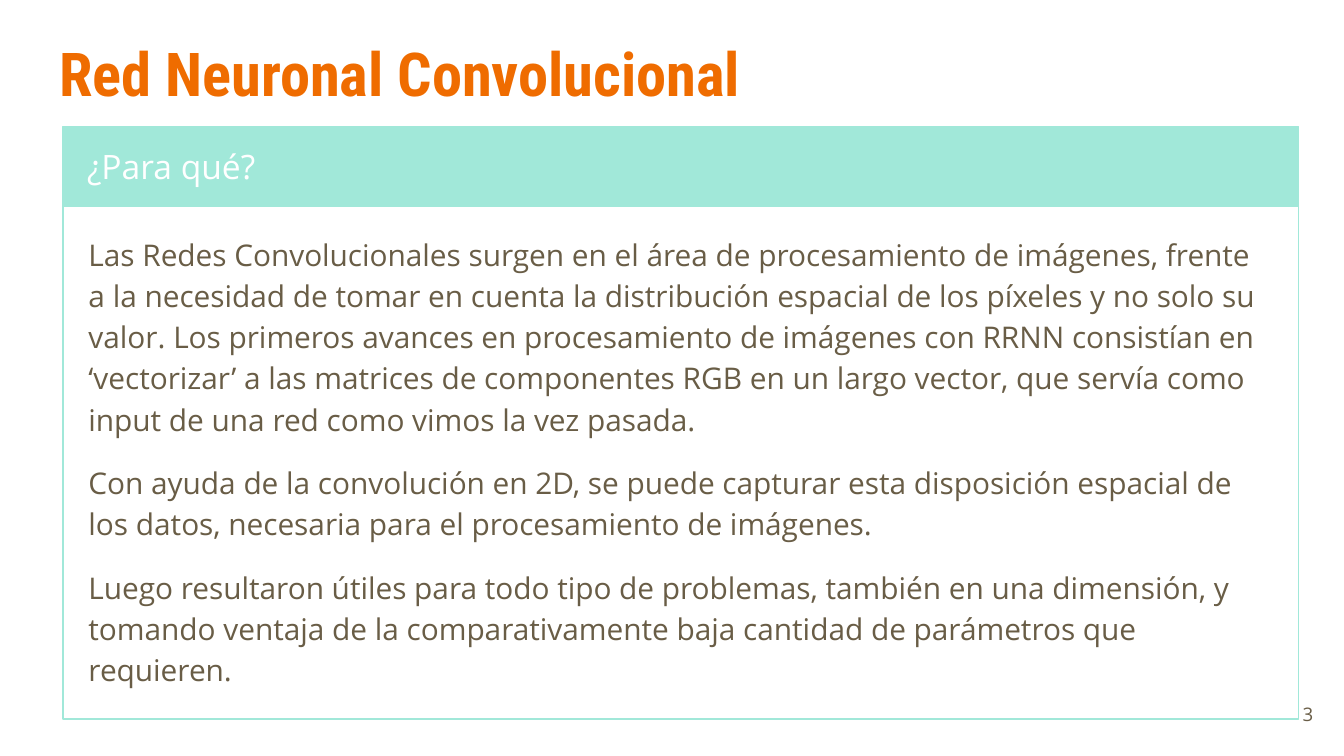
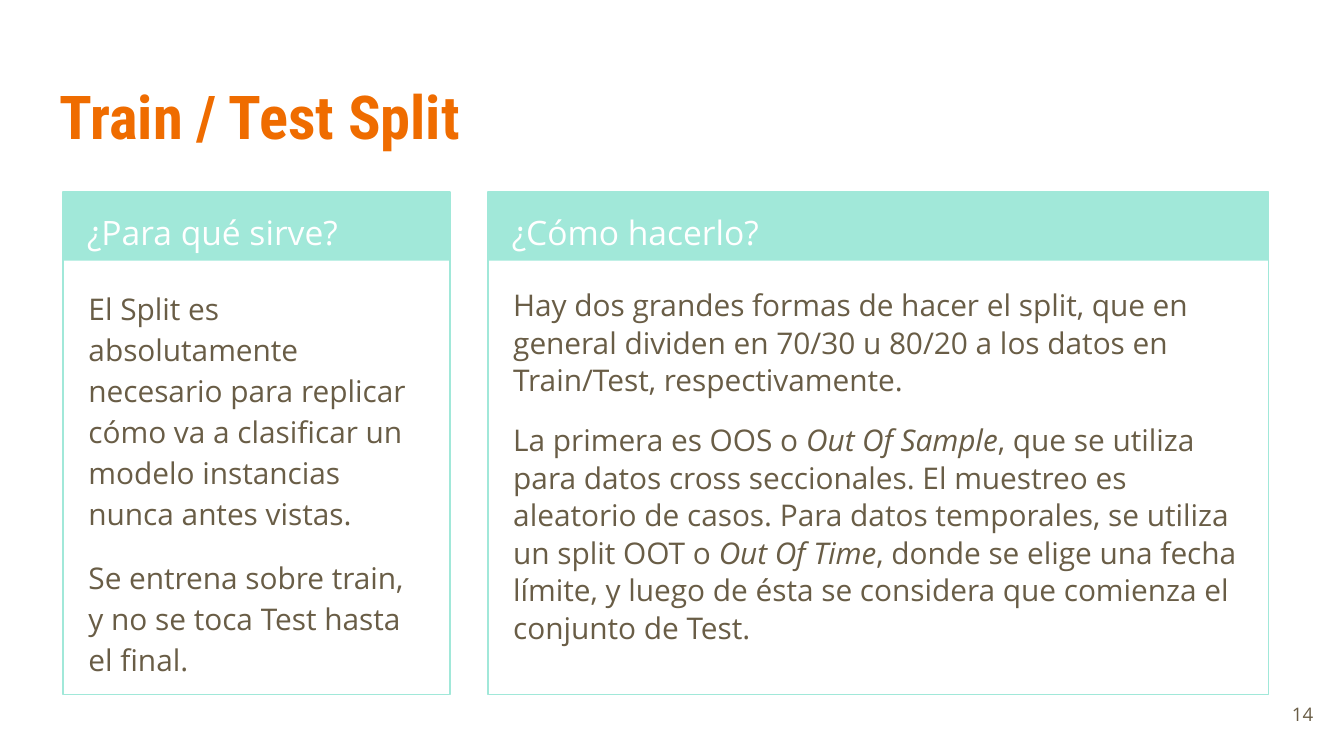
from dataclasses import dataclass
from pptx import Presentation
from pptx.dml.color import RGBColor
from pptx.enum.shapes import MSO_SHAPE
from pptx.enum.text import MSO_ANCHOR, MSO_AUTO_SIZE, PP_ALIGN
from pptx.util import Inches, Pt


@dataclass(frozen=True)
class Theme:
    mint: RGBColor = RGBColor.from_string("A1E8D9")
    title: tuple = ("Roboto Condensed", 32.4, "EF6C00", True)
    header: tuple = ("Open Sans", 18, "FFFFFF", False)
    body: tuple = ("Open Sans", 16, "695D46", False)
    number: tuple = ("Open Sans", 10, "695D46", False)
    border: float = 0.75
    gap: int = 12


THEME = Theme()

SLIDES = [
    {
        "title": "Red Neuronal Convolucional", "title_top": 0.17, "number": "3",
        "top": 0.94, "height": 4.41, "band": 0.6,
        "cards": [
            {"left": 0.47, "width": 9.19, "text_width": 8.89, "spacing": 1.15,
             "header": "¿Para qué?",
             "body": [
                 ["Las Redes Convolucionales surgen en el área de procesamiento de imágenes, "
                  "frente a la necesidad de tomar en cuenta la distribución espacial de los "
                  "píxeles y no solo su valor. Los primeros avances en procesamiento de "
                  "imágenes con RRNN consistían en ‘vectorizar’ a las matrices de componentes "
                  "RGB en un largo vector, que servía como input de una red como vimos la vez "
                  "pasada."],
                 ["Con ayuda de la convolución en 2D, se puede capturar esta disposición "
                  "espacial de los datos, necesaria para el procesamiento de imágenes."],
                 ["Luego resultaron útiles para todo tipo de problemas, también en una "
                  "dimensión, y tomando ventaja de la comparativamente baja cantidad de "
                  "parámetros que requieren."],
             ]},
        ],
    },
    {
        "title": "Train / Test Split", "title_top": 0.49, "number": "14",
        "top": 1.43, "height": 3.74, "band": 0.51,
        "cards": [
            {"left": 0.47, "width": 2.88, "text_width": 2.71, "spacing": 1.15,
             "header": "¿Para qué sirve?",
             "body": [
                 ["El Split es absolutamente necesario para replicar cómo va a clasificar un "
                  "modelo instancias nunca antes vistas."],
                 ["Se entrena sobre train, y no se toca Test hasta el final."],
             ]},
            {"left": 3.63, "width": 5.81, "text_width": 5.61, "spacing": 1.05,
             "header": "¿Cómo hacerlo?",
             "body": [
                 ["Hay dos grandes formas de hacer el split, que en general dividen en 70/30 "
                  "u 80/20 a los datos en Train/Test, respectivamente."],
                 ["La primera es OOS o ", ("Out Of Sample",),
                  ", que se utiliza para datos cross seccionales. El muestreo es aleatorio de "
                  "casos. Para datos temporales, se utiliza un split OOT o ", ("Out Of Time",),
                  ", donde se elige una fecha límite, y luego de ésta se considera que "
                  "comienza el conjunto de Test."],
             ]},
        ],
    },
]


def box(left, top, width, height):
    return [Inches(v) for v in (left, top, width, height)]


def write(shape, paragraphs, style, spacing=1.0, align=PP_ALIGN.LEFT, anchor=MSO_ANCHOR.TOP):
    name, size, color, bold = style
    tf = shape.text_frame
    frame = {"word_wrap": True, "auto_size": MSO_AUTO_SIZE.NONE, "vertical_anchor": anchor}
    frame.update({f"margin_{side}": Inches(0.1) for side in ("left", "top", "right", "bottom")})
    for key, value in frame.items():
        setattr(tf, key, value)
    last = len(paragraphs) - 1
    for i, runs in enumerate(paragraphs):
        p = tf.add_paragraph() if i else tf.paragraphs[0]
        layout = {"alignment": align, "line_spacing": spacing,
                  "space_before": Pt(THEME.gap if i else 0),
                  "space_after": Pt(THEME.gap if i and i == last else 0)}
        for key, value in layout.items():
            setattr(p, key, value)
        for part in runs:
            italic = isinstance(part, tuple)
            r = p.add_run()
            r.text = part[0] if italic else part
            font = {"name": name, "size": Pt(size), "bold": bold, "italic": italic}
            for key, value in font.items():
                setattr(r.font, key, value)
            r.font.color.rgb = RGBColor.from_string(color)


def add_text(s, place, paragraphs, style, **options):
    write(s.shapes.add_textbox(*box(*place)), paragraphs, style, **options)


def add_rect(s, place, filled):
    sp = s.shapes.add_shape(MSO_SHAPE.RECTANGLE, *box(*place))
    sp.shadow.inherit = False
    if filled:
        sp.fill.solid()
        sp.fill.fore_color.rgb = THEME.mint
        sp.line.fill.background()
    else:
        sp.fill.background()
        sp.line.color.rgb = THEME.mint
        sp.line.width = Pt(THEME.border)


def add_card(s, card, top, height, band):
    left, width = card["left"], card["width"]
    body_top = top + band + 0.08
    add_rect(s, (left, top, width, band), True)
    add_rect(s, (left, top, width, height), False)
    add_text(s, (left + 0.08, top, 2.73, 0.5), [[card["header"]]], THEME.header, spacing=1.15)
    add_text(s, (left + 0.09, body_top, card["text_width"], top + height - body_top - 0.05),
             card["body"], THEME.body, spacing=card["spacing"])


def add_slide(prs, data):
    s = prs.slides.add_slide(prs.slide_layouts[5])
    title = s.shapes.title
    title.left, title.top, title.width, title.height = box(0.34, data["title_top"], 9.32, 0.77)
    write(title, [[data["title"]]], THEME.title)
    for card in data["cards"]:
        add_card(s, card, data["top"], data["height"], data["band"])
    add_text(s, (9.27, 5.1, 0.6, 0.43), [[data["number"]]], THEME.number,
             align=PP_ALIGN.RIGHT, anchor=MSO_ANCHOR.MIDDLE)


def main():
    prs = Presentation()
    prs.slide_width = Inches(10)
    prs.slide_height = prs.slide_width * 9 // 16
    for data in SLIDES:
        add_slide(prs, data)
    prs.save("out.pptx")


if __name__ == "__main__":
    main()
